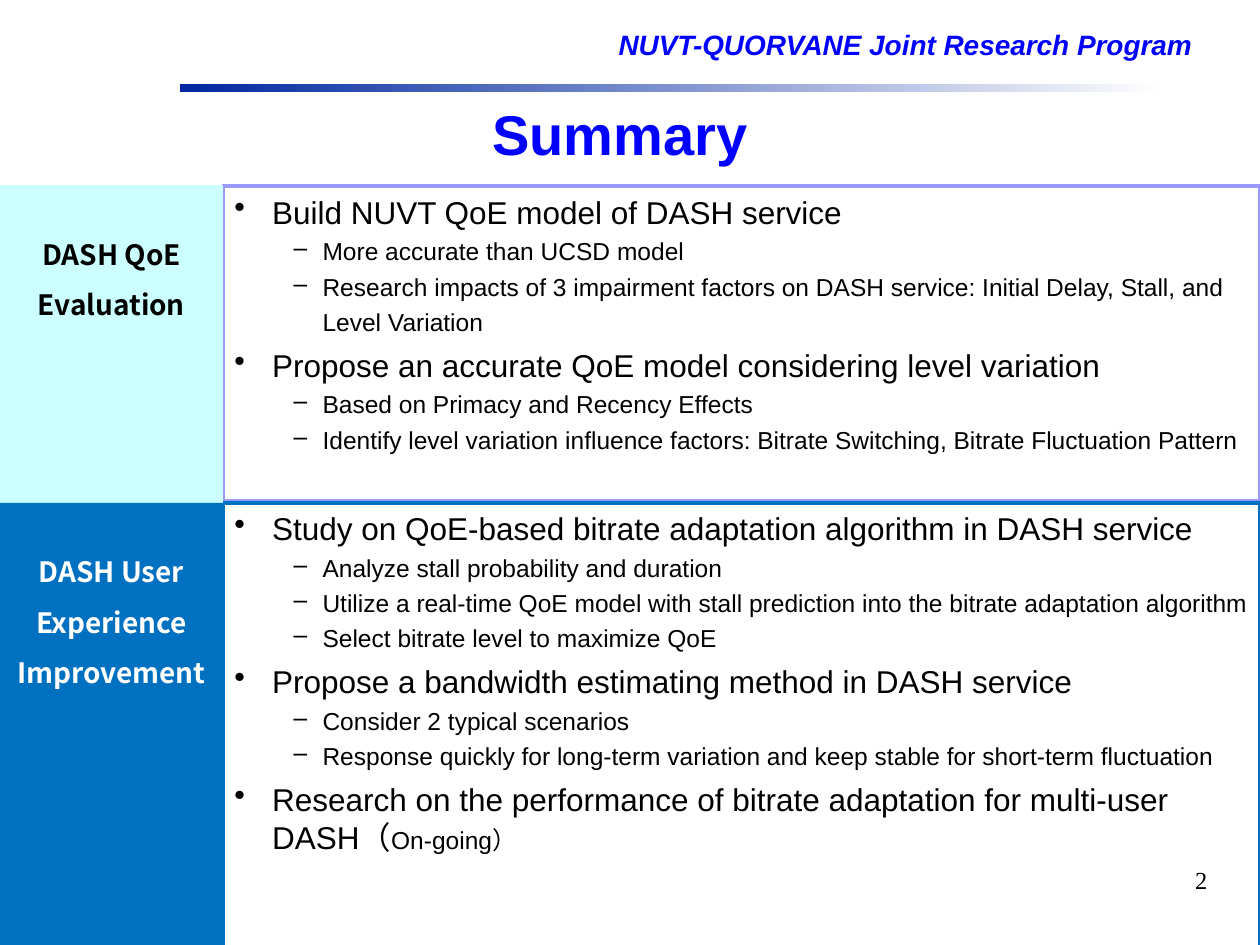
from dataclasses import dataclass
from typing import NamedTuple

from lxml.etree import SubElement
from pptx import Presentation
from pptx.dml.color import RGBColor as Rgb
from pptx.enum.shapes import MSO_SHAPE as Kind
from pptx.enum.text import MSO_ANCHOR as Anchor, PP_ALIGN as Align
from pptx.oxml.ns import qn
from pptx.util import Inches, Pt


@dataclass(frozen=True)
class Theme:
    blue: str = "0000FF"
    navy: str = "00279F"
    lilac: str = "9999FF"
    aqua: str = "CCFFFF"
    ocean: str = "0070C0"
    black: str = "000000"
    white: str = "FFFFFF"
    sans: str = "Arial"
    serif: str = "Times New Roman"
    cjk: str = "Noto Sans CJK SC"
    title: int = 32
    head: int = 18
    label: int = 16
    small: int = 14


class Box(NamedTuple):
    left: float
    top: float
    width: float
    height: float


class Level(NamedTuple):
    size: int
    mark: str
    left: float
    hang: float
    before: float
    line: float


class Point(NamedTuple):
    text: str
    subs: tuple = ()
    note: str = ""


class Topic(NamedTuple):
    name: str
    label: Box
    fill: str
    ink: str
    body: Box
    edge: str
    weight: float
    points: tuple


T = Theme()
MAIN = Level(T.head, "•", 0.3, 0.3, 5.4, 1.0)
SUB = Level(T.small, "–", 0.7, 0.23, 0, 1.2)
SPLIT = 1.77
WIDE = 10 - SPLIT

TOPICS = (
    Topic("DASH QoE Evaluation", Box(0, 1.47, SPLIT, 2.61), T.aqua, T.black,
          Box(SPLIT, 1.48, WIDE, 2.5), T.lilac, 2.25, (
              Point("Build NUVT QoE model of DASH service", (
                  "More accurate than UCSD model",
                  "Research impacts of 3 impairment factors on DASH service: "
                  "Initial Delay, Stall, and Level Variation")),
              Point("Propose an accurate QoE model considering level variation", (
                  "Based on Primacy and Recency Effects",
                  "Identify level variation influence factors: "
                  "Bitrate Switching, Bitrate Fluctuation Pattern")))),
    Topic("DASH User Experience Improvement", Box(0, 3.99, SPLIT, 3.51), T.ocean, T.white,
          Box(SPLIT, 3.99, WIDE, 3.62), T.ocean, 2, (
              Point("Study on QoE-based bitrate adaptation algorithm in DASH service", (
                  "Analyze stall probability and duration",
                  "Utilize a real-time QoE model with stall prediction "
                  "into the bitrate adaptation algorithm",
                  "Select bitrate level to maximize QoE")),
              Point("Propose a bandwidth estimating method in DASH service", (
                  "Consider 2 typical scenarios",
                  "Response quickly for long-term variation "
                  "and keep stable for short-term fluctuation")),
              Point("Research on the performance of bitrate adaptation for multi-user DASH（",
                    note="On-going）"))),
)


def style(para, size: float, ink: str, face: str = T.sans, bold: bool = False,
          slant: bool = False, align=Align.LEFT, line: float = 1.0) -> None:
    font = para.font
    font.name, font.size = face, Pt(size)
    font.bold, font.italic = bold, slant
    font.color.rgb = Rgb.from_string(ink)
    para.alignment, para.line_spacing = align, line


def inset(frame, side: float, top: float, base: float) -> None:
    frame.margin_left = frame.margin_right = Inches(side)
    frame.margin_top, frame.margin_bottom = Inches(top), Inches(base)
    frame.vertical_anchor = Anchor.TOP


def add_text(slide, box: Box, text: str, side: float, top: float,
             wrap: bool = True, **look) -> None:
    frame = slide.shapes.add_textbox(*map(Inches, box)).text_frame
    inset(frame, side, top, top)
    frame.word_wrap = wrap
    para = frame.paragraphs[0]
    para.text = text
    style(para, **look)


def add_rect(slide, box: Box):
    """Add a rectangle with no shadow, fill or line."""
    rect = slide.shapes.add_shape(Kind.RECTANGLE, *map(Inches, box))
    rect.shadow.inherit = False
    rect.fill.background()
    rect.line.fill.background()
    rect.text_frame.word_wrap = True
    return rect


def add_rule(slide, box: Box) -> None:
    """Add the bar that fades to white under the header."""
    fill = add_rect(slide, box).fill
    fill.gradient()
    fill.gradient_angle = 0
    for stop, ink in zip(fill.gradient_stops, (T.navy, T.white)):
        stop.color.rgb = Rgb.from_string(ink)


def add_item(frame, text: str, level: Level, first: bool, note: str = "") -> None:
    para = frame.paragraphs[0] if first else frame.add_paragraph()
    para.add_run().text = text
    style(para, level.size, T.black, line=level.line)
    para.space_before = Pt(0 if first else level.before)
    if note:
        run = para.add_run()
        run.text, run.font.size = note, Pt(T.small)
    props = para._p.get_or_add_pPr()
    props.set("marL", str(Inches(level.left)))
    props.set("indent", str(-Inches(level.hang)))
    bullet = SubElement(props, qn("a:buChar"), char=level.mark)
    props.find(qn("a:defRPr")).addprevious(bullet)


def add_body(slide, topic: Topic) -> None:
    rect = add_rect(slide, topic.body)
    rect.line.color.rgb = Rgb.from_string(topic.edge)
    rect.line.width = Pt(topic.weight)
    frame = rect.text_frame
    inset(frame, 0.09, 0.05, 0.05)
    for i, point in enumerate(topic.points):
        add_item(frame, point.text, MAIN, i == 0, point.note)
        for sub in point.subs:
            add_item(frame, sub, SUB, False)


def add_label(slide, topic: Topic) -> None:
    rect = add_rect(slide, topic.label)
    rect.fill.solid()
    rect.fill.fore_color.rgb = Rgb.from_string(topic.fill)
    inset(rect.text_frame, 0.11, 0.28, 0.06)
    para = rect.text_frame.paragraphs[0]
    para.text = topic.name
    style(para, T.label, topic.ink, T.cjk, bold=True, align=Align.CENTER, line=1.5)


def main() -> None:
    deck = Presentation()
    deck.slide_width, deck.slide_height = Inches(10), Inches(7.5)
    slide = deck.slides.add_slide(deck.slide_layouts[6])
    add_text(slide, Box(4.75, 0.25, 5.17, 0.62), " NUVT-QUORVANE Joint Research Program",
             0.1, 0, size=T.label, ink=T.blue, bold=True, slant=True, line=0.9)
    add_rule(slide, Box(1.43, 0.67, 7.82, 0.06))
    add_text(slide, Box(3.83, 0.84, 2.18, 0.51), "Summary", 0.07, 0.03, wrap=False,
             size=T.title, ink=T.blue, bold=True, align=Align.CENTER, line=0.85)
    for topic in TOPICS:
        add_body(slide, topic)
    for topic in TOPICS:
        add_label(slide, topic)
    add_text(slide, Box(7.6, 6.82, 2.08, 0.5), "2", 0.1, 0.05,
             size=T.small, ink=T.black, face=T.serif, align=Align.RIGHT)
    deck.save("out.pptx")


if __name__ == "__main__":
    main()
